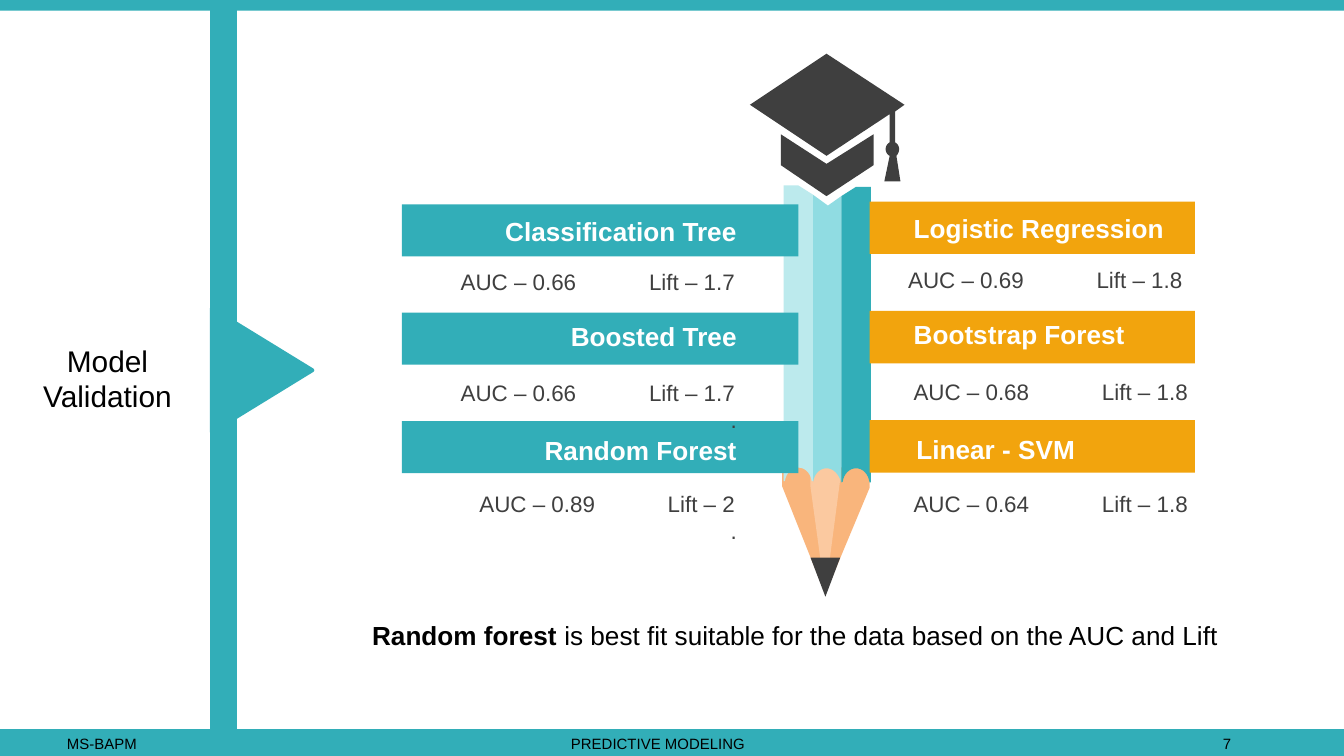
from dataclasses import dataclass

from lxml.etree import SubElement
from pptx import Presentation
from pptx.dml.color import RGBColor
from pptx.enum.shapes import MSO_SHAPE
from pptx.enum.text import MSO_ANCHOR, PP_ALIGN
from pptx.oxml.ns import qn
from pptx.util import Inches, Pt

COLUMNS, ROWS = 100, 56.25
CELL = Inches(10) / COLUMNS
COLORS = {
    "teal": "32AEB8", "aqua": "90DCE2", "mist": "BCEAED", "orange": "F2A40D",
    "wood": "F9B57C", "light_wood": "FBC9A0", "charcoal": "3F3F3F",
    "white": "FFFFFF", "black": "000000",
}


@dataclass
class Model:
    name: str
    auc: str
    lift: str
    auc_end: float = 21.9
    label_shift: float = 0
    value_shift: float = 0
    dot: bool = False


LEFT_MODELS = [
    Model("Classification Tree", "0.66", "1.7"),
    Model("Boosted Tree", "0.66", "1.7", dot=True),
    Model("Random Forest", "0.89", "2", auc_end=23.3, dot=True),
]
RIGHT_MODELS = [
    Model("Logistic Regression", "0.69", "1.8"),
    Model("Bootstrap Forest", "0.68", "1.8", value_shift=0.4),
    Model("Linear - SVM", "0.64", "1.8", label_shift=0.2, value_shift=0.4),
]

SCALLOP = [(21, 214, 17, 210, 12, 210), (7, 210, 3, 214, 2, 220)]


def shifted(outline, dx, dy=0):
    return [tuple(v + (dy if i % 2 else dx) for i, v in enumerate(step)) for step in outline]


PENCIL_PARTS = [
    ("wood", [[(0, 209), (65, 210), (65, 225), (32, 304), (0, 224)]]),
    ("light_wood", [[(21, 208), (43, 208), (43, 220), (32, 304), (21, 224)]]),
    ("mist", [[(1, 0), (12, 0), (23, 7), (23, 220), (22, 220), *SCALLOP, (1, 220)]]),
    ("aqua", [[(23, 7), (34, 15), (44, 8), (44, 221), *shifted(SCALLOP, 21, 0.5)]]),
    ("teal", [[(55, 1), (66, 1), (66, 221), (65, 221), *shifted(SCALLOP, 43, 0.5),
               (44, 221), (44, 8)]]),
]
CAP_PARTS = [("charcoal", [
    [(23, 60), (57, 82), (92, 60), (92, 83), (57, 106), (23, 83)],
    [(57, 0), (115, 38), (108, 43), (108, 66), (110, 67, 111, 69, 111, 71),
     (111, 73, 110, 75, 109, 76), (112, 95), (100, 95), (104, 76),
     (102, 75, 101, 73, 101, 71), (101, 69, 102, 67, 104, 66),
     (104, 45), (57, 76), (0, 38)],
])]


def emu(*cells):
    return [round(cell * CELL) for cell in cells]


def rgb(color):
    return RGBColor.from_string(COLORS[color])


def paint(shape, color, outline=0):
    shape.shadow.inherit = False
    shape.fill.solid()
    shape.fill.fore_color.rgb = rgb(color)
    if outline:
        shape.line.color.rgb = rgb(color)
        shape.line.width = Pt(outline)
    else:
        shape.line.fill.background()
    return shape


def add_block(slide, box, color, kind=MSO_SHAPE.RECTANGLE, outline=0, rotation=0):
    block = paint(slide.shapes.add_shape(kind, *emu(*box)), color, outline)
    block.rotation = rotation


def write(frame, text, *, size, color="black", bold=False, align=PP_ALIGN.LEFT,
          anchor=MSO_ANCHOR.TOP, insets=(1, 0.5), tabs=(), lead=""):
    frame.word_wrap = True
    frame.vertical_anchor = anchor
    frame.margin_left = frame.margin_right = emu(insets[0])[0]
    frame.margin_top = frame.margin_bottom = emu(insets[1])[0]
    paragraph = frame.paragraphs[0]
    if tabs:
        stops = SubElement(paragraph._p.get_or_add_pPr(), qn("a:tabLst"))
        for position, side in tabs:
            SubElement(stops, qn("a:tab"), pos=str(emu(position)[0]), algn=side)
    paragraph.alignment = align
    for part, weight in ((lead, True), (text, bold)):
        if part:
            run = paragraph.add_run()
            run.text = part
            run.font.name = "Arial"
            run.font.size = Pt(size)
            run.font.bold = weight
            run.font.color.rgb = rgb(color)
    return paragraph


def add_text(slide, box, text, **style):
    frame = slide.shapes.add_textbox(*emu(*box)).text_frame
    write(frame, text, **style)
    return frame


def curve(start, step, samples=8):
    x1, y1, x2, y2, x3, y3 = step
    for i in range(1, samples + 1):
        t = i / samples
        u = 1 - t
        yield tuple(u**3 * a + 3 * u * u * t * b + 3 * u * t * t * c + t**3 * d
                    for a, b, c, d in ((start[0], x1, x2, x3), (start[1], y1, y2, y3)))


def flatten(outline):
    points = []
    for step in outline:
        points.extend([step] if len(step) == 2 else curve(points[-1], step))
    return points


def add_drawing(slide, box, grid, parts):
    left, top, width, height = emu(*box)
    for color, contours in parts:
        builder = None
        for contour in contours:
            points = [(left + x * width / grid[0], top + y * height / grid[1])
                      for x, y in flatten(contour)]
            if builder is None:
                builder = slide.shapes.build_freeform(*points[0])
            else:
                builder.move_to(*points[0])
            builder.add_line_segments(points[1:], close=True)
        paint(builder.convert_to_shape(), color)


def add_pencil(slide, box):
    left, top, width, height = box
    add_drawing(slide, box, (66, 306), PENCIL_PARTS)
    lead_box = (left + width * 0.32, top + height * 0.905, width / 3, height * 0.095)
    add_block(slide, lead_box, "charcoal", MSO_SHAPE.ISOSCELES_TRIANGLE, rotation=180)


def add_models(slide, box, models, color, align, label_left, value_left):
    left, top, width, height = box
    pitch = height / len(models)
    tops = [top + i * pitch for i in range(len(models))]
    for bar_top in tops:
        add_block(slide, (left, bar_top, width, pitch * 0.48), color)
    for i, (model, bar_top, drop) in enumerate(zip(models, tops, (0.04, 0.01, 0.06))):
        add_text(slide, (label_left + model.label_shift, bar_top + pitch * drop, 25.9, 3.4),
                 model.name, size=14, color="white", bold=True, align=align)
        value_top = bar_top + pitch * (0.53 + 0.025 * i)
        values = add_text(slide, (value_left + model.value_shift, value_top, 35.8, 3),
                          f"\tAUC – {model.auc}\tLift – {model.lift}", size=12,
                          color="charcoal", tabs=((model.auc_end, "r"), (33.7, "r")))
        if model.dot:
            dot = values.add_paragraph()
            dot.text = "."
            dot.alignment = PP_ALIGN.RIGHT
            dot.font.name = "Arial"
            dot.font.size = Pt(12)
            dot.font.color.rgb = rgb("charcoal")


def add_sidebar(slide, box):
    left, top, width, height = box
    title = slide.shapes.title
    title.left, title.top, title.width, title.height = emu(*box)
    write(title.text_frame, "Model Validation", size=16, align=PP_ALIGN.CENTER,
          anchor=MSO_ANCHOR.MIDDLE, insets=(1, 1))
    edge = left + width
    add_block(slide, (edge, top + 0.6, 1.7, height - 1.45), "teal", outline=2)
    add_block(slide, (edge - 0.9, top + 23.8, 9.2, 7.5), "teal",
              MSO_SHAPE.ISOSCELES_TRIANGLE, outline=2, rotation=90)


def add_footer(slide, box):
    add_text(slide, box, "\tMS-BAPM\tPREDICTIVE MODELING\t7", size=8,
             tabs=((4, "l"), (41.5, "l"), (90, "l")))


def main():
    presentation = Presentation()
    presentation.slide_width, presentation.slide_height = emu(COLUMNS, ROWS)
    slide = presentation.slides.add_slide(presentation.slide_layouts[5])
    for top, height in ((ROWS - 2, 2), (0, 0.8)):
        add_block(slide, (0, top, COLUMNS, height), "teal")
    add_sidebar(slide, (0.2, 0, 15.6, ROWS))
    add_pencil(slide, (58.2, 13.8, 6.6, 30.6))
    add_drawing(slide, (55.8, 4, 11.5, 10.6), (115, 106), CAP_PARTS)
    add_models(slide, (29.9, 15.2, 29.5, 24.2), LEFT_MODELS, "teal",
               PP_ALIGN.RIGHT, 29.9, 20)
    add_models(slide, (64.7, 15, 24.2, 24.4), RIGHT_MODELS, "orange",
               PP_ALIGN.LEFT, 67, 53.3)
    add_text(slide, (26.7, 45.6, 70.8, 3.4), size=14, lead="Random forest ",
             text="is best fit suitable for the data based on the AUC and Lift")
    add_footer(slide, (0, 54.2, COLUMNS, 2.4))
    presentation.save("out.pptx")


if __name__ == "__main__":
    main()
